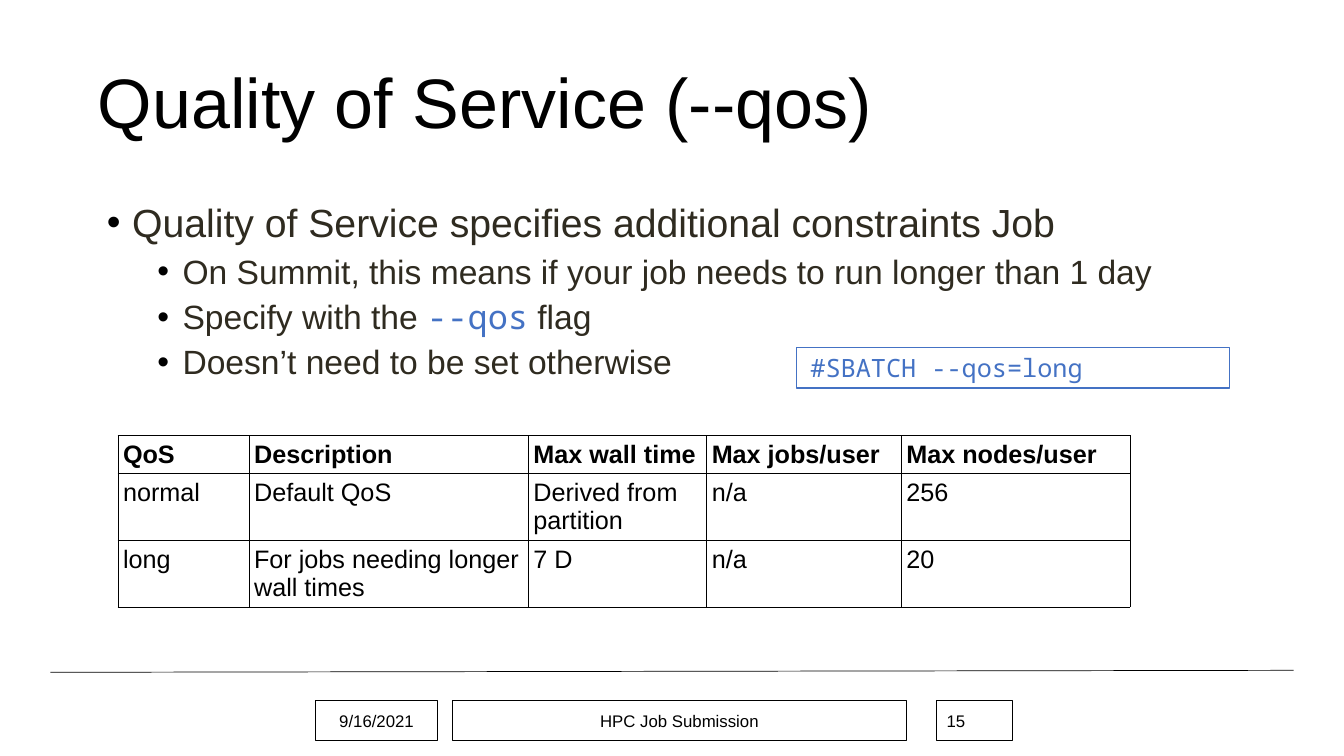
from lxml.etree import SubElement
from pptx import Presentation
from pptx.dml.color import RGBColor
from pptx.enum.shapes import MSO_CONNECTOR, MSO_SHAPE
from pptx.enum.text import MSO_ANCHOR, MSO_AUTO_SIZE, PP_ALIGN
from pptx.oxml.ns import qn
from pptx.util import Pt

EMU_PER_PX = 9144
BLACK = RGBColor(0x00, 0x00, 0x00)
BROWN = RGBColor(0x2F, 0x2B, 0x20)
BLUE = RGBColor(0x44, 0x72, 0xC4)
SANS = "Arial"
MONO = "Noto Sans Mono"

BULLETS = [
    (0, ["Quality of Service specifies additional constraints Job"]),
    (1, ["On Summit, this means if your job needs to run longer than 1 day"]),
    (1, ["Specify with the ", "--qos", " flag"]),
    (1, ["Doesn’t need to be set otherwise"]),
]
QOS_ROWS = [
    ["QoS", "Description", "Max wall time", "Max jobs/user", "Max nodes/user"],
    ["normal", "Default QoS", "Derived from partition", "n/a", "256"],
    ["long", "For jobs needing longer wall times", "7 D", "n/a", "20"],
]
COLUMN_WIDTHS = [130, 277, 177, 193, 227]
ROW_HEIGHTS = [38, 65, 65]


def px(length):
    """Turn px into EMU."""
    return length * EMU_PER_PX


def place(part, box):
    """Move a part to a box given as left, top, width, height."""
    part.left, part.top, part.width, part.height = map(px, box)


def add_text(paragraph, text, size=18, color=BLACK, font=SANS, bold=False):
    """Add a formatted run to a paragraph."""
    run = paragraph.add_run()
    run.text = text
    run.font.size = Pt(size)
    run.font.name = font
    run.font.bold = bold
    run.font.color.rgb = color


def add_bullet(paragraph, margin):
    """Give a paragraph a black bullet with a hanging indent."""
    properties = paragraph._p.get_or_add_pPr()
    properties.set("marL", str(px(margin)))
    properties.set("indent", str(px(-25)))
    color = SubElement(properties, qn("a:buClr"))
    SubElement(color, qn("a:srgbClr"), val=str(BLACK))
    SubElement(properties, qn("a:buFont"), typeface=SANS)
    SubElement(properties, qn("a:buChar"), char="•")


def add_frame(slide, box, color):
    """Add an unfilled outlined rectangle and return its text frame."""
    frame = slide.shapes.add_shape(MSO_SHAPE.RECTANGLE, *map(px, box))
    frame.shadow.inherit = False
    frame.fill.background()
    frame.line.color.rgb = color
    frame.line.width = Pt(0.75)
    content = frame.text_frame
    content.word_wrap = True
    content.vertical_anchor = MSO_ANCHOR.MIDDLE
    return content


def fill_title(slide, box):
    """Set the heading in the title placeholder."""
    title = slide.shapes.title
    place(title, box)
    content = title.text_frame
    content.auto_size = MSO_AUTO_SIZE.NONE
    content.vertical_anchor = MSO_ANCHOR.MIDDLE
    heading = content.paragraphs[0]
    heading.alignment = PP_ALIGN.LEFT
    heading.line_spacing = 0.9
    add_text(heading, "Quality of Service (--qos)", size=50)


def fill_body(slide, box):
    """Set the bullet list in the body placeholder."""
    body = slide.placeholders[1]
    place(body, box)
    content = body.text_frame
    content.auto_size = MSO_AUTO_SIZE.NONE
    for index, (level, pieces) in enumerate(BULLETS):
        item = content.add_paragraph() if index else content.paragraphs[0]
        item.level = level
        add_bullet(item, 29 + 50 * level)
        item.line_spacing = 0.9
        item.space_before = Pt(6.5 if index else 0)
        for piece in pieces:
            is_flag = piece == "--qos"
            add_text(item, piece, size=28 - 4 * level,
                     color=BLUE if is_flag else BROWN,
                     font=MONO if is_flag else SANS)


def add_command(slide, box):
    """Add the framed batch directive."""
    content = add_frame(slide, box, BLUE)
    content.margin_top = content.margin_bottom = px(3)
    content.auto_size = MSO_AUTO_SIZE.SHAPE_TO_FIT_TEXT
    command = content.paragraphs[0]
    command.alignment = PP_ALIGN.LEFT
    command._p.get_or_add_pPr().set("marL", str(px(4)))
    add_text(command, "#SBATCH --qos=long", color=BLUE, font=MONO)


def format_cell(cell):
    """Give a cell thin black borders, narrow margins and no fill."""
    cell.margin_left = cell.margin_right = px(5)
    cell.margin_top = cell.margin_bottom = px(5)
    properties = cell._tc.get_or_add_tcPr()
    for side in ("a:lnL", "a:lnR", "a:lnT", "a:lnB"):
        border = SubElement(properties, qn(side), w=str(Pt(0.5)))
        fill = SubElement(border, qn("a:solidFill"))
        SubElement(fill, qn("a:srgbClr"), val=str(BLACK))
    cell.fill.background()


def add_qos_table(slide, left, top):
    """Add the table of service levels."""
    box = (left, top, sum(COLUMN_WIDTHS), sum(ROW_HEIGHTS))
    table = slide.shapes.add_table(
        len(QOS_ROWS), len(COLUMN_WIDTHS), *map(px, box)).table
    table.horz_banding = False
    for column, width in zip(table.columns, COLUMN_WIDTHS):
        column.width = px(width)
    for index, (row, height) in enumerate(zip(table.rows, ROW_HEIGHTS)):
        row.height = px(height)
        for cell, text in zip(row.cells, QOS_ROWS[index]):
            format_cell(cell)
            add_text(cell.text_frame.paragraphs[0], text, bold=index == 0)


def add_footer(slide, box):
    """Add the rule and the date, talk name and page number below it."""
    left, top, width, height = box
    rule = slide.shapes.add_connector(
        MSO_CONNECTOR.STRAIGHT,
        *map(px, (left, top + 2, left + width, top)))
    rule.line.color.rgb = BLACK
    rule.line.width = Pt(0.5)
    SubElement(rule._element.spPr, qn("a:effectLst"))
    for text, offset, field_width, alignment in (
            ("9/16/2021", 263, 121, PP_ALIGN.CENTER),
            ("HPC Job Submission", 399, 450, PP_ALIGN.CENTER),
            ("15", 879, 75, PP_ALIGN.LEFT)):
        field_box = (left + offset, top + height - 40, field_width, 40)
        field = add_frame(slide, field_box, BLACK).paragraphs[0]
        field.alignment = alignment
        add_text(field, text, size=12)


def main():
    """Build and save the slide."""
    deck = Presentation()
    deck.slide_width, deck.slide_height = px(1333), px(750)
    slide = deck.slides.add_slide(deck.slide_layouts[1])
    fill_title(slide, (87, 32, 1150, 145))
    fill_body(slide, (92, 197, 1183, 455))
    add_qos_table(slide, 117, 432)
    add_footer(slide, (50, 665, 1233, 70))
    add_command(slide, (790, 345, 429, 40))
    deck.save("out.pptx")


if __name__ == "__main__":
    main()
